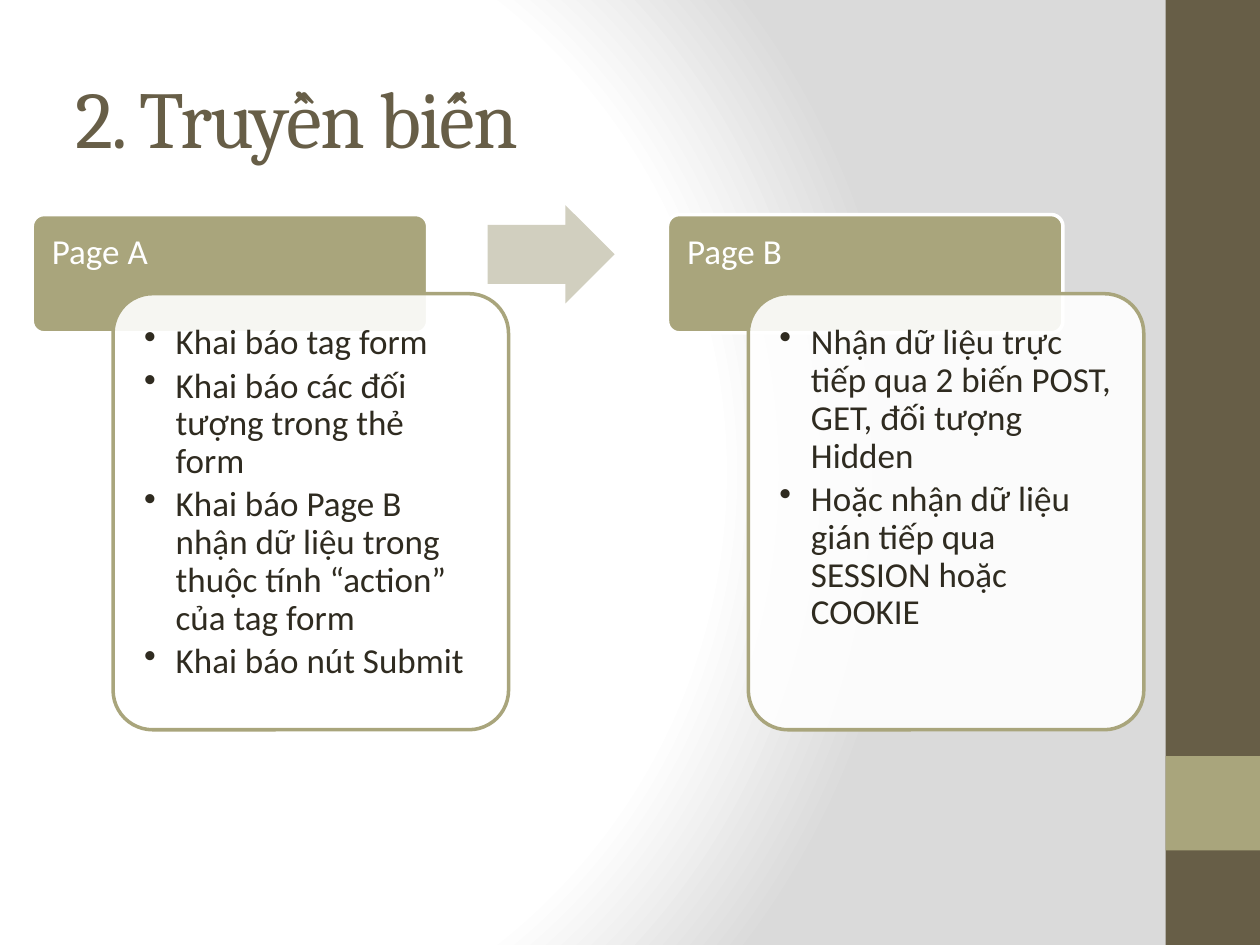
from dataclasses import dataclass

from lxml import etree
from pptx import Presentation
from pptx import util as u
from pptx.dml.color import RGBColor
from pptx.enum import shapes, text
from pptx.oxml import parse_xml
from pptx.oxml.ns import nsdecls, qn

Pt = u.Pt
SHAPE = shapes.MSO_SHAPE


@dataclass(frozen=True)
class Theme:
    """Colours, fonts and type sizes."""
    brown: str = "675E47"
    olive: str = "A9A57C"
    pale: str = "D1CFBF"
    white: str = "FFFFFF"
    gray: str = "DADADA"
    ink: str = "2F2B20"
    head_font: str = "Cambria"
    body_font: str = "Calibri"
    title_size: float = 46
    body_size: float = 20


T = Theme()


def add_box(s, kind, box, fill, line=None, adj=(), alpha=None):
    """Add a filled preset shape."""
    sp = s.shapes.add_shape(kind, *map(Pt, box))
    sp.shadow.inherit = False
    sp.fill.solid()
    sp.fill.fore_color.rgb = RGBColor.from_string(fill)
    if alpha is not None:
        clr = sp.fill._xPr.find(".//" + qn("a:srgbClr"))
        etree.SubElement(clr, qn("a:alpha"), val=str(alpha * 1000))
    if line:
        sp.line.color.rgb = RGBColor.from_string(line)
        sp.line.width = Pt(2)
    else:
        sp.line.fill.background()
    for i, value in enumerate(adj):
        sp.adjustments[i] = value
    return sp


def add_text(s, box, lines, color, font=T.body_font, size=T.body_size,
             insets=(7.2, 3.6, 7.2, 3.6), anchor=text.MSO_ANCHOR.TOP,
             spacing=None, after=0, bullet=False, track=None):
    """Add a text box with one paragraph per line."""
    tf = s.shapes.add_textbox(*map(Pt, box)).text_frame
    tf.word_wrap = True
    tf.vertical_anchor = anchor
    tf.margin_left, tf.margin_top, tf.margin_right, tf.margin_bottom = map(Pt, insets)
    for i, line in enumerate(lines):
        p = tf.add_paragraph() if i else tf.paragraphs[0]
        p.space_after = Pt(after)
        if spacing:
            p.line_spacing = spacing
        if bullet:
            p.level = 1
            pPr = p._p.get_or_add_pPr()
            pPr.set("marL", str(Pt(18)))
            pPr.set("indent", str(Pt(-18)))
            etree.SubElement(pPr, qn("a:buChar"), char="•")
        r = p.add_run()
        r.text = line
        r.font.name = font
        r.font.size = Pt(size)
        r.font.color.rgb = RGBColor.from_string(color)
        if track is not None:
            r._r.get_or_add_rPr().set("spc", str(track * 100))


def set_background(s):
    """Fill the background with a radial gradient."""
    s.background.fill.gradient()
    old = s.element.find(".//" + qn("a:gradFill"))
    stops = "".join(
        f'<a:gs pos="{pos * 1000}"><a:srgbClr val="{c}"/></a:gs>'
        for pos, c in ((0, T.white), (75, T.white), (100, T.gray)))
    new = parse_xml(
        f'<a:gradFill {nsdecls("a")} rotWithShape="1"><a:gsLst>{stops}</a:gsLst>'
        '<a:path path="circle"><a:fillToRect l="20000" t="50000" r="100000" b="50000"/>'
        '</a:path></a:gradFill>')
    old.getparent().replace(old, new)


def add_sidebar(s, x, y, w, h):
    """Draw the right band with its accent square."""
    add_box(s, SHAPE.RECTANGLE, (x, y, w, h), T.brown)
    add_box(s, SHAPE.RECTANGLE, (x, y + h - 2 * w, w, w), T.olive)


def add_page_card(s, x, y, w, h, heading, items):
    """Draw a heading tab with an overlapping list card."""
    card_w, dx, dy, pad = 226, w - 226, 45.2, 6.6
    card_h = h - dy
    add_box(s, SHAPE.ROUNDED_RECTANGLE, (x, y, card_w, 67.6), T.olive, T.white, [0.1])
    add_text(s, (x, y, card_w, dy), [heading], T.white,
             insets=(11.2, 11.2, 11.2, 6), spacing=0.9, after=7)
    add_box(s, SHAPE.ROUNDED_RECTANGLE, (x + dx, y + dy, card_w, card_h),
            T.white, T.olive, [0.1], alpha=90)
    add_text(s, (x + dx + pad, y + dy + pad, card_w - 2 * pad, card_h - 2 * pad),
             items, T.ink, insets=(11.2,) * 4, spacing=0.9, after=3, bullet=True)


def build():
    """Build and save the slide."""
    prs = Presentation()
    prs.slide_width, prs.slide_height = Pt(720), Pt(540)
    s = prs.slides.add_slide(prs.slide_layouts[6])
    set_background(s)
    add_sidebar(s, 666, 0, 54, 540)
    add_text(s, (36, 21.6, 600, 90), ["2. Truyền biến"], T.brown, T.head_font,
             T.title_size, anchor=text.MSO_ANCHOR.MIDDLE, track=-1)
    pages = (
        ("Page A", ["Khai báo tag form",
                    "Khai báo các đối tượng trong thẻ form",
                    "Khai báo Page B nhận dữ liệu trong thuộc tính “action” của tag form",
                    "Khai báo nút Submit"]),
        ("Page B", ["Nhận dữ liệu trực tiếp qua 2 biến POST, GET, đối tượng Hidden",
                    "Hoặc nhận dữ liệu gián tiếp qua SESSION hoặc COOKIE"]),
    )
    left, top, step = 18.4, 122.6, 363
    for i, (heading, items) in enumerate(pages):
        if i:
            add_box(s, SHAPE.RIGHT_ARROW, (left + 260.2, top - 5.4, 72.6, 56.2),
                    T.pale, adj=(0.6, 0.5))
        add_page_card(s, left + i * step, top, 272.2, 294.4, heading, items)
    prs.save("out.pptx")


build()
